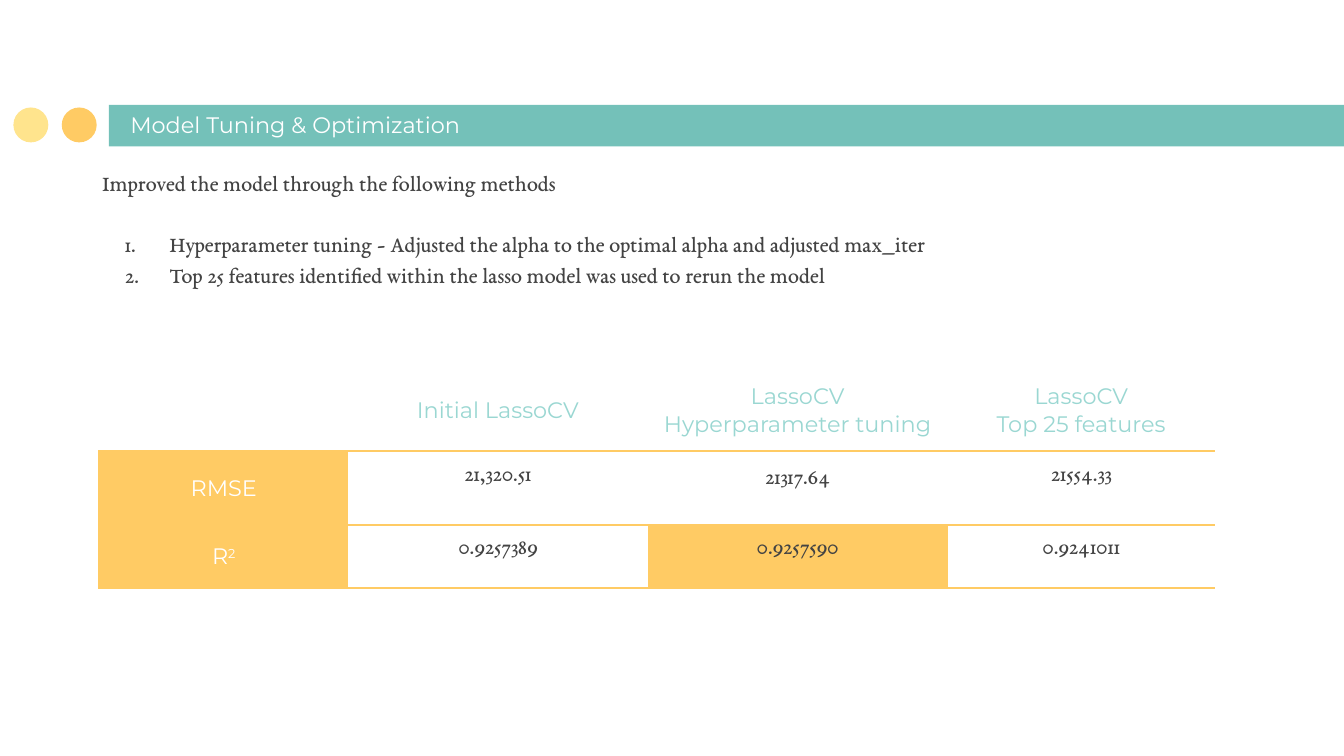
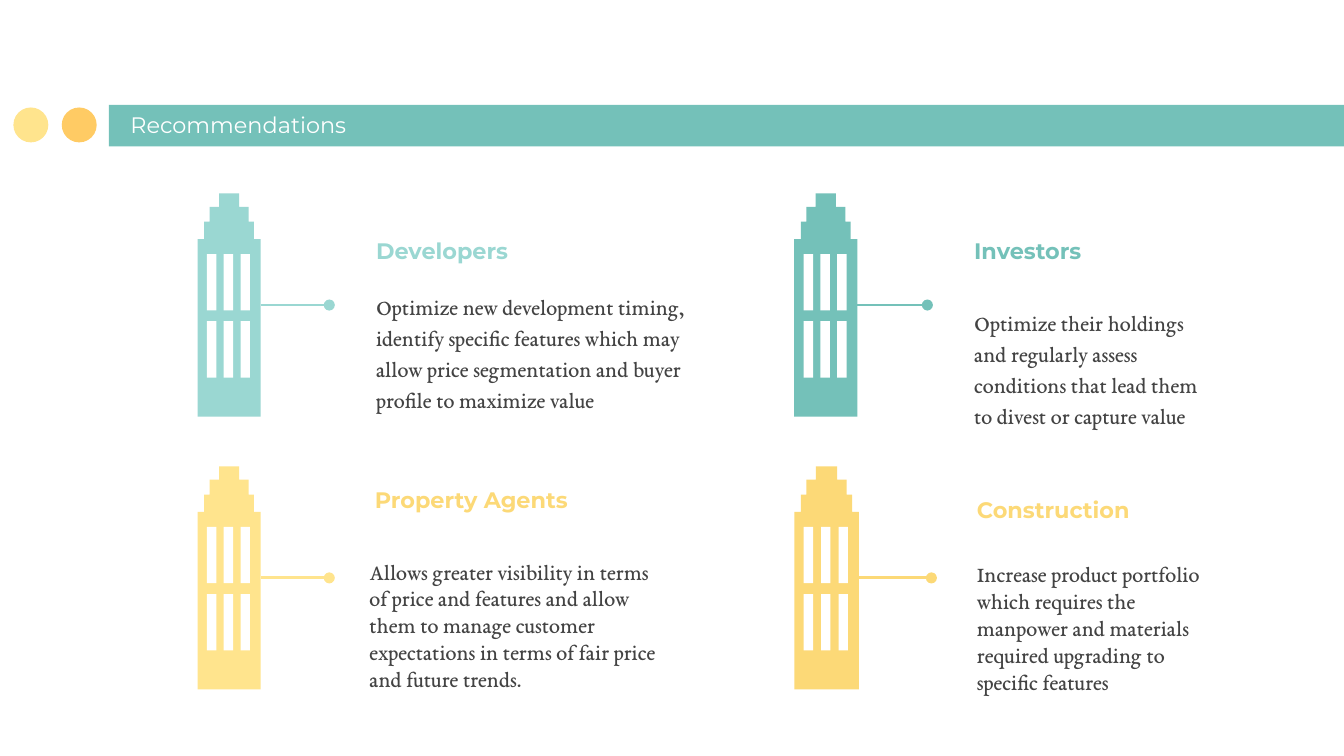
"""Build two slides on model tuning results and recommendations."""
from lxml import etree
from pptx import Presentation
from pptx.dml.color import RGBColor
from pptx.enum.shapes import MSO_CONNECTOR, MSO_SHAPE
from pptx.enum.text import MSO_ANCHOR, MSO_AUTO_SIZE, PP_ALIGN
from pptx.oxml.ns import qn
from pptx.util import Inches, Pt

RECT, OVAL = MSO_SHAPE.RECTANGLE, MSO_SHAPE.OVAL
STRAIGHT = MSO_CONNECTOR.STRAIGHT
TOP, MIDDLE, BOTTOM = MSO_ANCHOR.TOP, MSO_ANCHOR.MIDDLE, MSO_ANCHOR.BOTTOM
LEFT, CENTER = PP_ALIGN.LEFT, PP_ALIGN.CENTER
NO_AUTOFIT = MSO_AUTO_SIZE.NONE

SLIDE_WIDTH = 10
SLIDE_HEIGHT = SLIDE_WIDTH * 9 / 16
SANS, SERIF = "Montserrat", "EB Garamond"
TEAL, MINT, ORANGE = "74C1B9", "9AD7D2", "FFCB64"
CREAM, YELLOW = "FFE48D", "FCD977"
WHITE, DARK = "FFFFFF", "434343"
NO_TABLE_STYLE = "{2D5ABB26-0587-4C30-8999-92F81FD0307C}"

METHODS = [
    "Improved the model through the following methods",
    "Hyperparameter tuning - Adjusted the alpha to the optimal alpha and adjusted max_iter",
    "Top 25 features identified within the lasso model was used to rerun the model",
]
SCORES = [
    ["", "Initial LassoCV", "LassoCV\vHyperparameter tuning", "LassoCV\nTop 25 features"],
    ["RMSE", "21,320.51", "21317.64", "21554.33"],
    ["R", "0.9257389", "0.9257590", "0.9241011"],
]
COLUMN_WIDTHS = [1.85, 2.23, 2.23, 1.99]
ROW_HEIGHTS = [0.5, 0.55, 0.47]
BEST_CELL = (2, 2)

TOWER_STEPS = [(0.16, 0), (0.16, 0.1), (0.09, 0.1), (0.09, 0.21),
               (0.05, 0.21), (0.05, 0.34), (0, 0.34), (0, 1.66)]
AUDIENCES = [
    dict(tower=(1.47, 1.44, 0.47), reach=0.51, color=MINT, heading_color=MINT,
         heading="Developers", heading_box=(2.7, 1.73, 1.69, 0.27),
         advice="Optimize new development timing, identify specific features which may "
                "allow price segmentation and buyer profile to maximize value",
         advice_box=(2.7, 1.84, 2.63, 1.54), spacing=1.15),
    dict(tower=(5.91, 1.44, 0.47), reach=0.52, color=TEAL, heading_color=TEAL,
         heading="Investors", heading_box=(7.15, 1.73, 1.95, 0.27),
         advice="Optimize their holdings and regularly assess conditions that lead them "
                "to divest or capture value",
         advice_box=(7.15, 1.9, 1.95, 1.66), spacing=1.15),
    dict(tower=(1.47, 3.47, 0.47), reach=0.51, color=CREAM, heading_color=YELLOW,
         heading="Property Agents", heading_box=(2.69, 3.58, 1.99, 0.27),
         advice="Allows greater visibility in terms of price and features and allow them "
                "to manage customer expectations in terms of fair price and future trends.",
         advice_box=(2.65, 3.98, 2.35, 1.34), spacing=1),
    dict(tower=(5.91, 3.47, 0.48), reach=0.54, color=YELLOW, heading_color=YELLOW,
         heading="Construction", heading_box=(7.17, 3.66, 1.75, 0.27),
         advice="Increase product portfolio which requires the manpower and materials "
                "required upgrading to specific features",
         advice_box=(7.17, 3.93, 2.05, 1.48), spacing=1),
]


def rgb(color):
    """Turn a hex string into a colour."""
    return RGBColor.from_string(color)


def inches(values):
    """Convert several numbers to lengths."""
    return [Inches(v) for v in values]


def paint(sp, color):
    """Give a shape a flat fill with no outline or shadow."""
    sp.fill.solid()
    sp.fill.fore_color.rgb = rgb(color)
    sp.line.fill.background()
    sp.shadow.inherit = False


def add_block(shapes, kind, box, color):
    """Add a plain filled preset shape."""
    sp = shapes.add_shape(kind, *inches(box))
    paint(sp, color)
    return sp


def style_paragraph(p, font, color, align=LEFT, bold=False, spacing=1):
    """Format a paragraph, its runs and its line breaks."""
    p.alignment = align
    p.line_spacing = spacing
    p.space_before = Pt(0)
    for r in p.runs:
        r.font.name = font
        r.font.size = Pt(12)
        r.font.bold = bold
        r.font.color.rgb = rgb(color)
    for br in p._p.findall(qn("a:br")):
        etree.SubElement(br, qn("a:rPr"), sz="1200")


def set_frame(tf, anchor):
    """Set wrapping, margins and anchor of a text frame."""
    tf.word_wrap = True
    tf.auto_size = NO_AUTOFIT
    tf.vertical_anchor = anchor
    tf.margin_left = tf.margin_right = tf.margin_top = tf.margin_bottom = Inches(0.1)


def place(sp, box):
    """Move and size a placeholder."""
    sp.left, sp.top, sp.width, sp.height = inches(box)


def add_text(shapes, text, box, font, color, bold=False, spacing=1):
    """Add a one-paragraph text box."""
    tf = shapes.add_textbox(*inches(box)).text_frame
    set_frame(tf, MIDDLE)
    tf.text = text
    style_paragraph(tf.paragraphs[0], font, color, bold=bold, spacing=spacing)


def add_titled_slide(prs, layout, title):
    """Add a slide with its title on the band."""
    slide = prs.slides.add_slide(prs.slide_layouts[layout])
    sp = slide.shapes.title
    place(sp, (0.87, 0.79, 5.48, 0.34))
    set_frame(sp.text_frame, BOTTOM)
    sp.text_frame.text = title
    style_paragraph(sp.text_frame.paragraphs[0], SANS, WHITE)
    return slide


def add_master_band(prs, slide):
    """Put the title band and dots on the slide master."""
    tree = prs.slide_master.shapes._spTree
    parts = [(RECT, (0.81, 0.78, 9.19, 0.31), TEAL),
             (OVAL, (0.46, 0.8, 0.26, 0.26), ORANGE),
             (OVAL, (0.1, 0.8, 0.26, 0.26), CREAM)]
    for i, (kind, box, color) in enumerate(parts):
        sp = add_block(slide.shapes, kind, box, color)
        sp._element.nvSpPr.cNvPr.set("id", str(100 + i))
        tree.insert(2 + i, sp._element)


def set_numbering(p):
    """Number a paragraph with a hanging indent."""
    pPr = p._p.get_or_add_pPr()
    pPr.set("marL", str(Inches(0.5)))
    pPr.set("indent", str(Inches(-0.33)))
    clr = etree.SubElement(pPr, qn("a:buClr"))
    etree.SubElement(clr, qn("a:srgbClr"), val=DARK)
    etree.SubElement(pPr, qn("a:buFont"), typeface=SERIF)
    etree.SubElement(pPr, qn("a:buAutoNum"), type="arabicPeriod")


def fill_methods(sp):
    """Write the lead sentence and the numbered methods."""
    place(sp, (0.66, 1.13, 9.16, 1.16))
    tf = sp.text_frame
    set_frame(tf, TOP)
    tf.text = "\n".join(METHODS)
    lead, *items = tf.paragraphs
    for p in tf.paragraphs:
        style_paragraph(p, SERIF, DARK, spacing=1.15)
    items[0].space_before = Pt(16)
    pPr = lead._p.get_or_add_pPr()
    pPr.set("marL", "0")
    pPr.set("indent", "0")
    etree.SubElement(pPr, qn("a:buNone"))
    for p in items:
        set_numbering(p)


def set_borders(cell, sides):
    """Draw the named cell borders ahead of the cell fill."""
    tcPr = cell._tc.get_or_add_tcPr()
    for i, side in enumerate(sides):
        ln = etree.Element(qn(f"a:ln{side}"), w=str(Pt(1.5)))
        fill = etree.SubElement(ln, qn("a:solidFill"))
        etree.SubElement(fill, qn("a:srgbClr"), val=ORANGE)
        tcPr.insert(i, ln)


def fill_cell(cell, text, row, col):
    """Write and format one score cell."""
    label = row == 0 or col == 0
    cell.text = text
    cell.vertical_anchor = MIDDLE if label else TOP
    cell.margin_left = cell.margin_right = cell.margin_top = cell.margin_bottom = Inches(0.1)
    color = MINT if row == 0 else WHITE if col == 0 else DARK
    for p in cell.text_frame.paragraphs:
        style_paragraph(p, SANS if label else SERIF, color, CENTER)
    if (row and col == 0) or (row, col) == BEST_CELL:
        cell.fill.solid()
        cell.fill.fore_color.rgb = rgb(ORANGE)
    else:
        cell.fill.background()
    set_borders(cell, "B" if row == 0 else "LTB" if col == 0 else "TB")


def add_scores(slide):
    """Add the table that compares the models."""
    box = (0.74, 2.75, sum(COLUMN_WIDTHS), sum(ROW_HEIGHTS))
    table = slide.shapes.add_table(len(SCORES), len(SCORES[0]), *inches(box)).table
    table.first_row = table.horz_banding = False
    table._tbl.tblPr.find(qn("a:tableStyleId")).text = NO_TABLE_STYLE
    for column, width in zip(table.columns, COLUMN_WIDTHS):
        column.width = Inches(width)
    for row, height in zip(table.rows, ROW_HEIGHTS):
        row.height = Inches(height)
    for i, texts in enumerate(SCORES):
        for j, text in enumerate(texts):
            fill_cell(table.cell(i, j), text, i, j)
    table.cell(1, 2).text_frame.paragraphs[0].line_spacing = 1.15
    p = table.cell(2, 0).text_frame.paragraphs[0]
    r = p.add_run()
    r.text = "2"
    style_paragraph(p, SANS, WHITE, CENTER)
    r.font._element.set("baseline", "30000")


def add_tower(shapes, x, y, width, color):
    """Draw a stepped tower with two rows of three windows."""
    right_side = [(width - dx, dy) for dx, dy in reversed(TOWER_STEPS)]
    points = [inches((x + dx, y + dy)) for dx, dy in TOWER_STEPS + right_side]
    builder = shapes.build_freeform(*points[0])
    builder.add_line_segments(points[1:], close=True)
    paint(builder.convert_to_shape(), color)
    pitch = (width - 0.22) / 2
    for row in range(2):
        for col in range(3):
            box = (x + 0.07 + col * pitch, y + 0.45 + row * 0.5, 0.07, 0.42)
            add_block(shapes, RECT, box, WHITE)


def add_pointer(shapes, x, y, length, color):
    """Draw a horizontal line that ends in a dot."""
    line = shapes.add_connector(STRAIGHT, *inches((x, y, x + length, y)))
    line.line.color.rgb = rgb(color)
    line.line.width = Pt(1.5)
    spPr = line._element.spPr
    etree.SubElement(spPr.get_or_add_ln(), qn("a:tailEnd"), type="oval")
    etree.SubElement(spPr, qn("a:effectLst"))


def add_audience(slide, audience):
    """Add a tower with its pointer, heading and advice."""
    shapes = slide.shapes.add_group_shape().shapes
    x, y, width = audience["tower"]
    add_tower(shapes, x, y, width, audience["color"])
    add_pointer(shapes, x + width, y + 0.83, audience["reach"], audience["color"])
    add_text(shapes, audience["heading"], audience["heading_box"], SANS,
             audience["heading_color"], bold=True)
    add_text(shapes, audience["advice"], audience["advice_box"], SERIF, DARK,
             spacing=audience["spacing"])


def main():
    """Build and save the presentation."""
    prs = Presentation()
    prs.slide_width, prs.slide_height = inches((SLIDE_WIDTH, SLIDE_HEIGHT))
    tuning = add_titled_slide(prs, 1, "Model Tuning & Optimization")
    add_master_band(prs, tuning)
    fill_methods(tuning.placeholders[1])
    add_scores(tuning)
    recommendations = add_titled_slide(prs, 5, "Recommendations")
    for audience in AUDIENCES:
        add_audience(recommendations, audience)
    prs.save("out.pptx")


if __name__ == "__main__":
    main()
